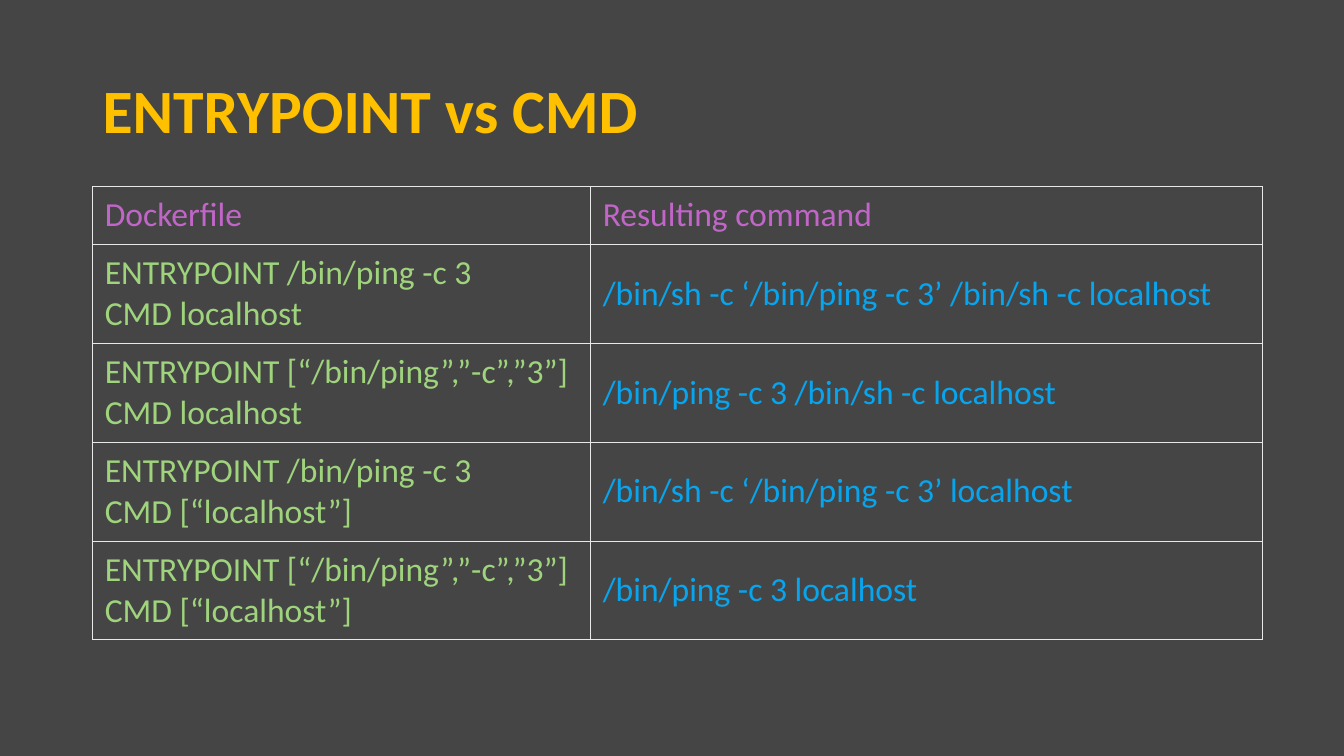
from lxml.etree import SubElement
from pptx import Presentation
from pptx.dml.color import RGBColor
from pptx.enum.text import MSO_ANCHOR, PP_ALIGN
from pptx.oxml.ns import qn
from pptx.util import Cm, Pt

COLOURS = {
    "background": "454545",
    "title": "FFC000",
    "heading": "C166C8",
    "dockerfile": "9FD47D",
    "command": "08A5EF",
    "border": "E8E8E8",
}
ROWS = [
    ("Dockerfile", "Resulting command"),
    ("ENTRYPOINT /bin/ping -c 3\vCMD localhost",
     "/bin/sh -c ‘/bin/ping -c 3’ /bin/sh -c localhost"),
    ("ENTRYPOINT [“/bin/ping”,”-c”,”3”]\vCMD localhost",
     "/bin/ping -c 3 /bin/sh -c localhost"),
    ("ENTRYPOINT /bin/ping -c 3\vCMD [“localhost”]",
     "/bin/sh -c ‘/bin/ping -c 3’ localhost"),
    ("ENTRYPOINT [“/bin/ping”,”-c”,”3”]\vCMD [“localhost”]",
     "/bin/ping -c 3 localhost"),
]
COLUMN_WIDTHS = [Cm(12.55), Cm(16.92)]
HEADING_HEIGHT, BODY_HEIGHT = Cm(1.46), Cm(2.49)


def style_paragraph(para, size, colour, bold=False):
    para.font.name = "Calibri"
    para.font.size = Pt(size)
    para.font.bold = bold
    para.font.color.rgb = RGBColor.from_string(COLOURS[colour])


def draw_borders(cell):
    properties = cell._tc.get_or_add_tcPr()
    for position, side in enumerate(("lnL", "lnR", "lnT", "lnB")):
        line = SubElement(properties, qn(f"a:{side}"), w=str(Pt(0.6)))
        fill = SubElement(line, qn("a:solidFill"))
        SubElement(fill, qn("a:srgbClr"), val=COLOURS["border"])
        properties.insert(position, line)


deck = Presentation()
deck.slide_width, deck.slide_height = Cm(33.87), Cm(19.05)
page = deck.slides.add_slide(deck.slide_layouts[5])
page.background.fill.solid()
page.background.fill.fore_color.rgb = RGBColor.from_string(COLOURS["background"])

title = page.shapes.title
title.left, title.top, title.width, title.height = Cm(2.33), Cm(1.01), Cm(29.21), Cm(3.68)
title.text_frame.text = "ENTRYPOINT vs CMD"
title.text_frame.vertical_anchor = MSO_ANCHOR.MIDDLE
title_para = title.text_frame.paragraphs[0]
title_para.alignment = PP_ALIGN.LEFT
title_para.line_spacing = 0.9
style_paragraph(title_para, 44, "title", bold=True)

table = page.shapes.add_table(
    len(ROWS), len(COLUMN_WIDTHS), Cm(2.33), Cm(4.7),
    sum(COLUMN_WIDTHS), HEADING_HEIGHT + BODY_HEIGHT * (len(ROWS) - 1)).table
table.first_row = table.horz_banding = False
for column, width in zip(table.columns, COLUMN_WIDTHS):
    column.width = width

for row_index, texts in enumerate(ROWS):
    is_heading = row_index == 0
    table.rows[row_index].height = HEADING_HEIGHT if is_heading else BODY_HEIGHT
    for column_index, text in enumerate(texts):
        cell = table.cell(row_index, column_index)
        cell.text = text
        cell.vertical_anchor = MSO_ANCHOR.MIDDLE
        cell.margin_left = cell.margin_right = Cm(0.31)
        cell.margin_top = cell.margin_bottom = Cm(0.2)
        cell.fill.background()
        draw_borders(cell)
        colour = "heading" if is_heading else ("dockerfile", "command")[column_index]
        style_paragraph(cell.text_frame.paragraphs[0], 24, colour)

deck.save("out.pptx")
